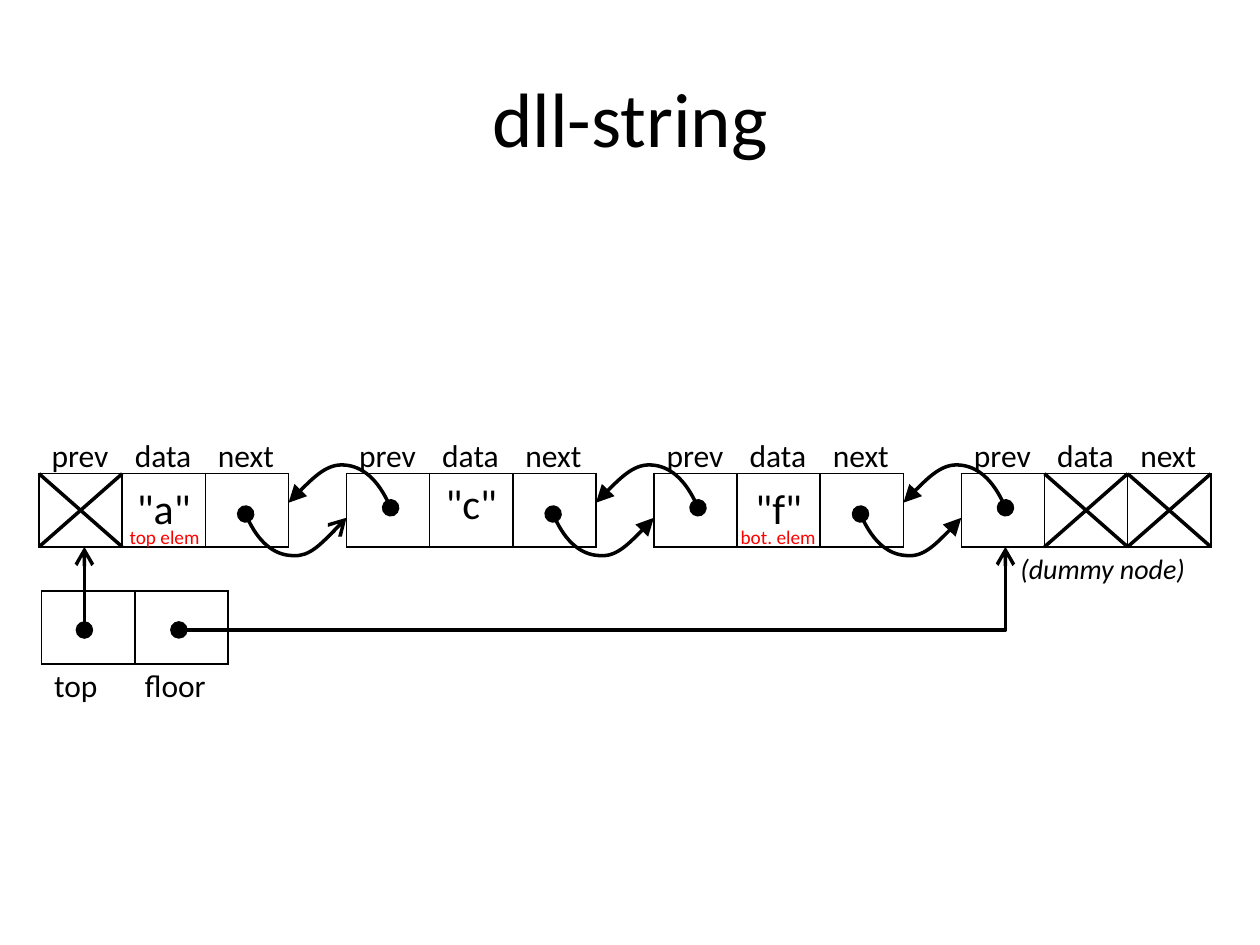
from pptx import Presentation
from pptx.dml.color import RGBColor
from pptx.enum.shapes import MSO_CONNECTOR as CONNECTOR
from pptx.enum.text import MSO_ANCHOR as ANCHOR, MSO_AUTO_SIZE as AUTO_SIZE, PP_ALIGN as ALIGN
from pptx.oxml import parse_xml
from pptx.oxml.ns import nsdecls, qn
from pptx.oxml.xmlchemy import OxmlElement
from pptx.util import Inches, Pt

BLACK = RGBColor(0x00, 0x00, 0x00)
WHITE = RGBColor(0xFF, 0xFF, 0xFF)
RED = RGBColor(0xFF, 0x00, 0x00)
FONT = "Calibri"
PLAIN_TABLE = "{2D5ABB26-0587-4C30-8999-92F81FD0307C}"

CELL_W, CELL_H, LABEL_H = 0.66, 0.58, 0.4
NODE_X, NODE_Y, NODE_PITCH = 0.31, 3.76, 2.44
POINTERS_X, POINTERS_Y = 0.33, 4.69
# Two Bezier segments each, measured from the top left of the right-hand node
NEXT_CURVE = [(-0.8, 0.32), (-0.7, 0.56), (-0.55, 0.65), (-0.42, 0.65),
              (-0.29, 0.66), (-0.07, 0.43), (0, 0.35)]
PREV_CURVE = [(0.35, 0.27), (0.25, 0.03), (0.1, -0.07), (-0.04, -0.07),
              (-0.17, -0.07), (-0.39, 0.15), (-0.46, 0.23)]


def format_text(paragraph, size, color=BLACK, italic=False):
    for run in paragraph.runs:
        run.font.name = FONT
        run.font.size = Pt(size)
        run.font.color.rgb = color
        run.font.italic = italic


def add_borders(cell):
    properties = cell._tc.get_or_add_tcPr()
    for position, side in enumerate(("lnL", "lnR", "lnT", "lnB")):
        properties.insert(position, parse_xml(
            f'<a:{side} {nsdecls("a")} w="{Pt(1)}"><a:solidFill>'
            f'<a:srgbClr val="{BLACK}"/></a:solidFill></a:{side}>'))


def add_row(slide, x, y, height, widths, texts, size, boxed=False, anchor=ANCHOR.TOP):
    """Add a one-row table: bordered cells or plain labels."""
    table = slide.shapes.add_table(1, len(widths), Inches(x), Inches(y),
                                   Inches(sum(widths)), Inches(height)).table
    table.first_row = table.horz_banding = False
    table._tbl.tblPr.find(qn("a:tableStyleId")).text = PLAIN_TABLE
    for column, (width, text) in enumerate(zip(widths, texts)):
        table.columns[column].width = Inches(width)
        cell = table.cell(0, column)
        if boxed:
            cell.fill.solid()
            cell.fill.fore_color.rgb = WHITE
            add_borders(cell)
        else:
            cell.fill.background()
        if text:
            cell.text_frame.text = text
            cell.vertical_anchor = anchor
            paragraph = cell.text_frame.paragraphs[0]
            paragraph.alignment = ALIGN.CENTER if boxed else ALIGN.LEFT
            format_text(paragraph, size)


def style_line(shape, tail=None):
    """Make a black line; with a tail it starts at a dot and ends in an arrowhead."""
    shape.line.color.rgb = BLACK
    shape.line.width = Pt(2)
    if tail:
        line = shape.element.spPr.find(qn("a:ln"))
        for tag, kind in (("a:headEnd", "oval"), ("a:tailEnd", tail)):
            end = OxmlElement(tag)
            end.set("type", kind)
            end.set("w", "lg")
            end.set("len", "lg")
            line.append(end)


def add_line(slide, start, end, tail=None, kind=CONNECTOR.STRAIGHT):
    line = slide.shapes.add_connector(kind, *map(Inches, start + end))
    style_line(line, tail)
    line.element.spPr.append(OxmlElement("a:effectLst"))
    return line


def add_curve(slide, x, y, offsets, tail):
    points = [(Inches(x + dx), Inches(y + dy)) for dx, dy in offsets]
    builder = slide.shapes.build_freeform(*points[0])
    builder.add_line_segments(points[1:], close=False)
    curve = builder.convert_to_shape()
    # Turn every three straight segments into one Bezier segment
    segments = list(curve.element.iter(qn("a:lnTo")))
    for first in range(0, len(segments), 3):
        bezier = OxmlElement("a:cubicBezTo")
        segments[first].addprevious(bezier)
        for segment in segments[first:first + 3]:
            bezier.append(segment[0])
            segment.getparent().remove(segment)
    curve.fill.background()
    curve.shadow.inherit = False
    style_line(curve, tail)


def add_cross(slide, x, y):
    right, bottom = x + CELL_W, y + CELL_H
    add_line(slide, (x, y), (right, bottom))
    add_line(slide, (x, bottom), (right, y))


def add_note(slide, x, y, width, height, text, size, color=BLACK, italic=False):
    note = slide.shapes.add_textbox(*map(Inches, (x, y, width, height))).text_frame
    note.word_wrap = False
    note.auto_size = AUTO_SIZE.SHAPE_TO_FIT_TEXT
    note.text = text
    format_text(note.paragraphs[0], size, color, italic)


def add_title(slide, x, y, width, height):
    title = slide.shapes.title
    title.left, title.top, title.width, title.height = map(Inches, (x, y, width, height))
    title.text_frame.text = "dll-string"
    title.text_frame.vertical_anchor = ANCHOR.MIDDLE
    title.text_frame.paragraphs[0].alignment = ALIGN.CENTER
    format_text(title.text_frame.paragraphs[0], 44)


def add_node(slide, x, y, data, anchor, null_cells):
    widths = [CELL_W] * 3
    add_row(slide, x, y, CELL_H, widths, ["", data, ""], 24, True, anchor)
    add_row(slide, x, y - 0.34, LABEL_H, widths, ["prev", "data", "next"], 18)
    for column in null_cells:
        add_cross(slide, x + column * CELL_W, y)


def add_list(slide, x, y):
    nodes = [('"a"', ANCHOR.MIDDLE, [0]), ('"c"', ANCHOR.TOP, []),
             ('"f"', ANCHOR.MIDDLE, []), ("", ANCHOR.MIDDLE, [1, 2])]
    for index, node in enumerate(nodes):
        add_node(slide, x + index * NODE_PITCH, y, *node)
    # Links between neighbouring nodes
    for index in range(1, len(nodes)):
        node_x = x + index * NODE_PITCH
        add_curve(slide, node_x, y, PREV_CURVE, "triangle")
        add_curve(slide, node_x, y, NEXT_CURVE, "arrow" if index == 1 else "triangle")
    # Notes on the ends of the list
    add_note(slide, x + 7.69, y + 0.57, 1.52, 0.37, "(dummy node)", 16, italic=True)
    add_note(slide, x + 0.62, y + 0.36, 0.76, 0.29, "top elem", 11, RED)
    add_note(slide, x + 5.47, y + 0.36, 0.8, 0.29, "bot. elem", 11, RED)


def add_pointers(slide, x, y, target_y):
    add_row(slide, x, y + 0.56, LABEL_H, [0.72, 1.03], ["top", "floor"], 18)
    add_row(slide, x, y, CELL_H, [0.74, 0.74], ["", ""], 18, True)
    dot_y = y + 0.31
    add_line(slide, (x + 0.34, dot_y), (x + 0.34, target_y), "arrow")
    floor_arrow = add_line(slide, (x + 1.09, dot_y), (x + 7.65, target_y), "arrow",
                           CONNECTOR.ELBOW)
    # Put the bend at the far end
    guide = OxmlElement("a:gd")
    guide.set("name", "adj1")
    guide.set("fmla", "val 100000")
    geometry = floor_arrow.element.spPr.find(qn("a:prstGeom"))
    geometry.get_or_add_avLst().append(guide)


def main():
    deck = Presentation()
    deck.slide_width, deck.slide_height = Inches(10), Inches(7.5)
    slide = deck.slides.add_slide(deck.slide_layouts.get_by_name("Title Only"))
    add_title(slide, 0.5, 0.3, 9, 1.25)
    add_list(slide, NODE_X, NODE_Y)
    add_pointers(slide, POINTERS_X, POINTERS_Y, NODE_Y + CELL_H)
    deck.save("out.pptx")


if __name__ == "__main__":
    main()
